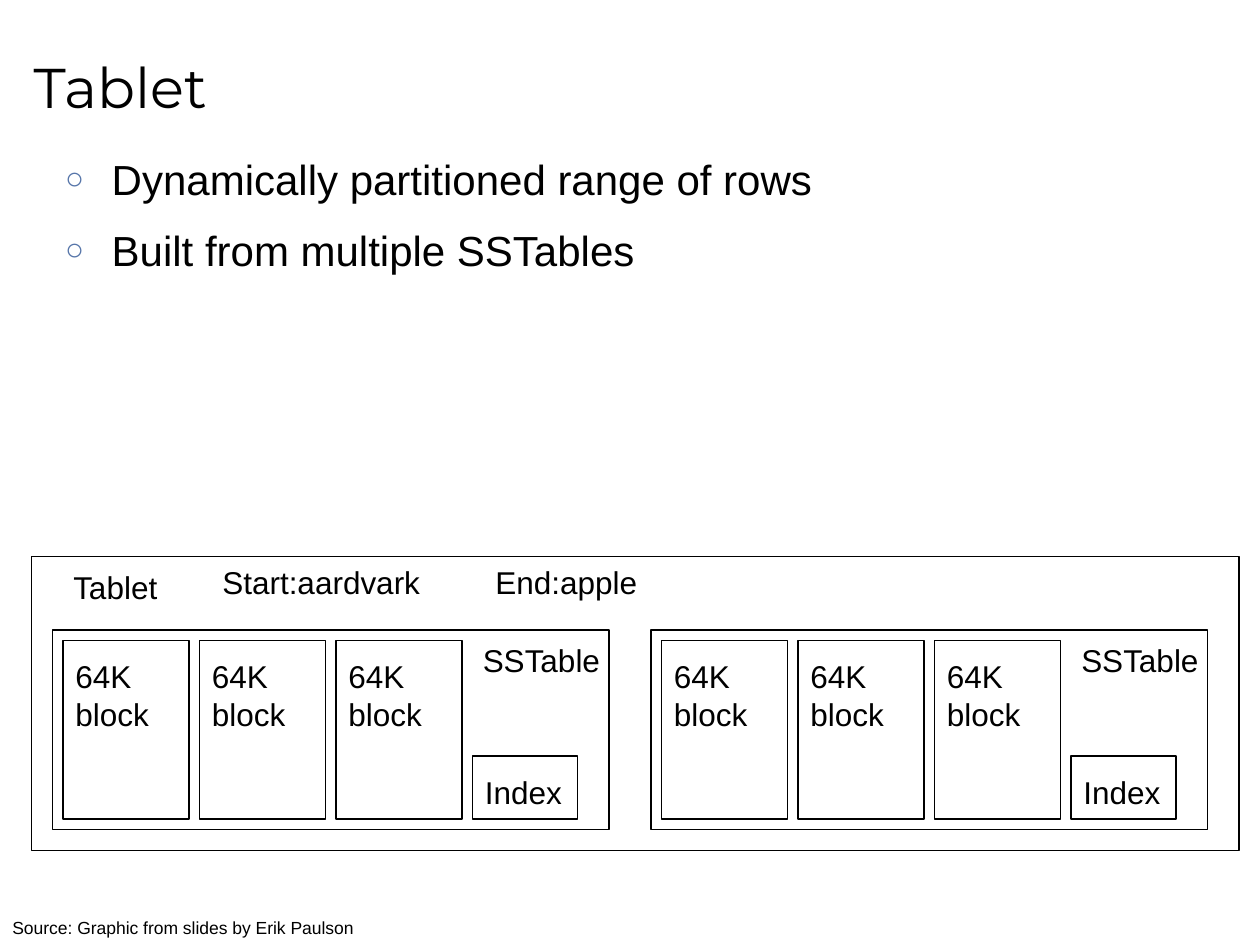
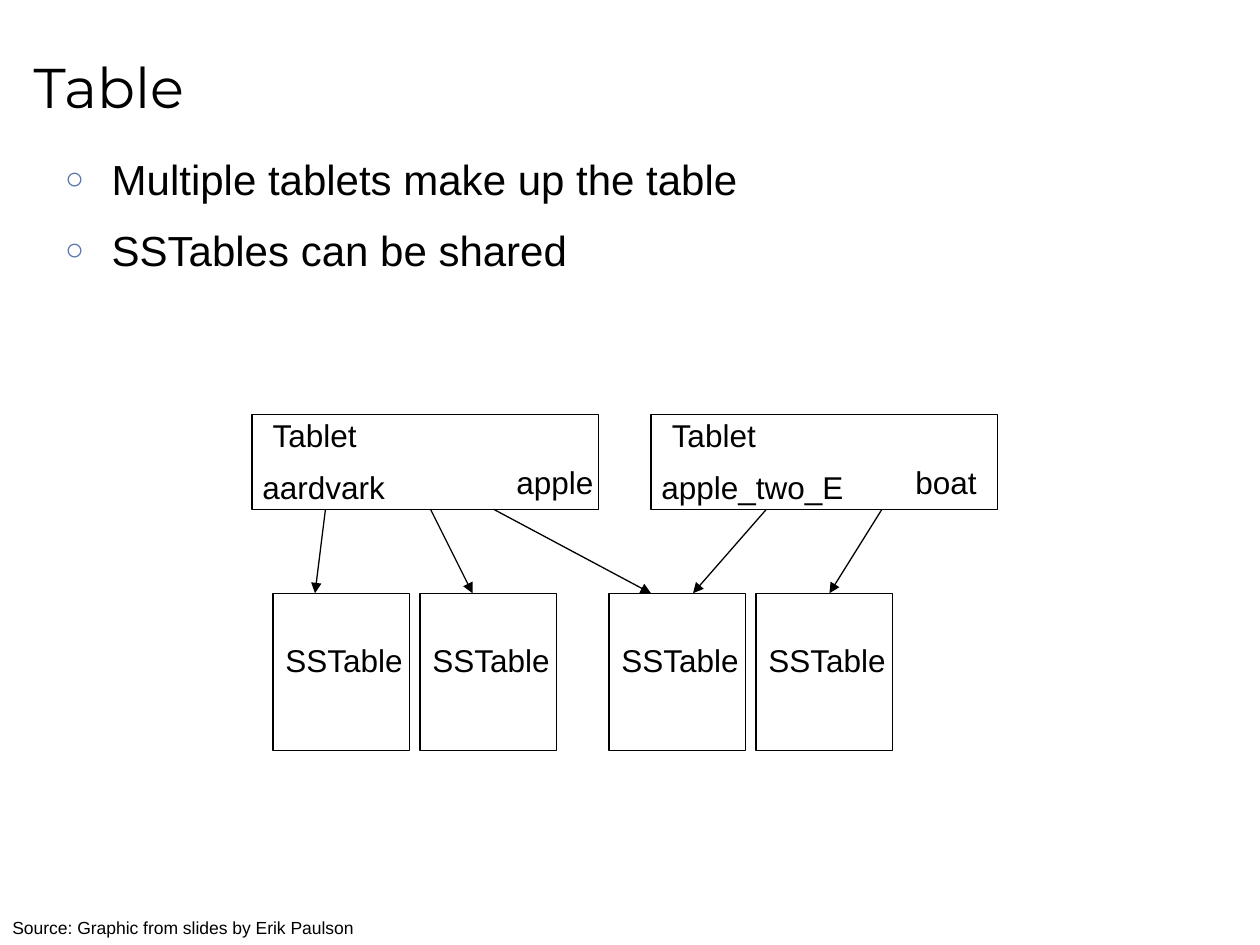
from dataclasses import dataclass

from lxml import etree
from pptx import Presentation, util as u
from pptx.dml.color import RGBColor
from pptx.enum import shapes, text
from pptx.oxml import ns

# Grid: 12 units to the inch, across and down
UNIT = u.Inches(1) / 12
SLIDE_COLS, SLIDE_ROWS = 120, 90

INK, BULLET = "000000", "5675A9"
TITLE_FONT, TEXT_FONT = "Montserrat", "Arial"
LINE_HEIGHT = 4.8
SOURCE = "Source: Graphic from slides by Erik Paulson"


@dataclass(frozen=True)
class Area:
    col: float
    row: float
    cols: float
    rows: float = LINE_HEIGHT

    def emu(self) -> list[int]:
        return [round(n * UNIT) for n in (self.col, self.row, self.cols, self.rows)]


@dataclass(frozen=True)
class Label:
    words: str
    area: Area
    wrap: bool = False
    size: int = 18


@dataclass(frozen=True)
class Tablet:
    col: int
    start: str
    start_cols: float
    end: str
    end_cols: float


TITLE_AREA = Area(2, 1.55, 114, 13.4)
LIST_AREA = Area(5, 14, 111, 67)


# Shared drawing helpers
def colour(hex_code: str) -> RGBColor:
    return RGBColor.from_string(hex_code)


def style(paragraph, size: int, face: str = TEXT_FONT) -> None:
    paragraph.alignment = text.PP_ALIGN.LEFT
    font = paragraph.font
    font.size, font.name = u.Pt(size), face
    font.color.rgb = colour(INK)


def outline(line) -> None:
    line.color.rgb = colour(INK)
    line.width = u.Pt(0.75)


def draw_box(slide, area: Area) -> None:
    box = slide.shapes.add_shape(shapes.MSO_SHAPE.RECTANGLE, *area.emu())
    box.shadow.inherit = False
    box.fill.background()
    outline(box.line)


def draw_label(slide, label: Label) -> None:
    frame = slide.shapes.add_textbox(*label.area.emu()).text_frame
    frame.word_wrap = label.wrap
    frame.auto_size = text.MSO_AUTO_SIZE.SHAPE_TO_FIT_TEXT
    frame.text = label.words
    style(frame.paragraphs[0], label.size)


def draw_arrow(slide, start_col: float, start_row: float, end_col: float, end_row: float) -> None:
    ends = [round(n * UNIT) for n in (start_col, start_row, end_col, end_row)]
    arrow = slide.shapes.add_connector(shapes.MSO_CONNECTOR.STRAIGHT, *ends)
    outline(arrow.line)
    etree.SubElement(arrow.get_or_add_ln(), ns.qn("a:tailEnd"), type="triangle")
    etree.SubElement(arrow.element.spPr, ns.qn("a:effectLst"))


def place(placeholder, area: Area, anchor):
    placeholder.left, placeholder.top, placeholder.width, placeholder.height = area.emu()
    frame = placeholder.text_frame
    frame.auto_size = text.MSO_AUTO_SIZE.NONE
    frame.vertical_anchor = anchor
    return frame


def add_bullet(paragraph) -> None:
    props = paragraph._p.get_or_add_pPr()
    indent = u.Inches(0.37)
    props.set("marL", str(indent))
    props.set("indent", str(-indent))
    tint = etree.SubElement(props, ns.qn("a:buClr"))
    etree.SubElement(tint, ns.qn("a:srgbClr"), val=BULLET)
    etree.SubElement(props, ns.qn("a:buSzPct"), val="75000")
    etree.SubElement(props, ns.qn("a:buFont"), typeface=TEXT_FONT)
    etree.SubElement(props, ns.qn("a:buChar"), char="○")


def add_slide(deck, heading: str, points: list[str]):
    slide = deck.slides.add_slide(deck.slide_layouts[1])
    title = place(slide.shapes.title, TITLE_AREA, text.MSO_ANCHOR.MIDDLE)
    title.text = heading
    style(title.paragraphs[0], 32, TITLE_FONT)

    listing = place(slide.placeholders[1], LIST_AREA, text.MSO_ANCHOR.TOP)
    listing.text = "\n".join(points)
    for i, point in enumerate(listing.paragraphs):
        add_bullet(point)
        point.space_before = u.Pt(6 if i else 0)
        point.space_after = u.Pt(6)
        style(point, 24)
    draw_label(slide, Label(SOURCE, Area(0, 86.7, 43, 3.2), wrap=True, size=10))
    return slide


# Slide 1: a tablet holding two SSTables
def draw_sstable(slide, col: int) -> None:
    for block_col in range(col + 1, col + 40, 13):
        draw_box(slide, Area(block_col, 61, 12, 17))
        draw_label(slide, Label("64K block", Area(block_col, 62, 11, 8.4), wrap=True))
    draw_box(slide, Area(col + 40, 72, 10, 6))
    draw_label(slide, Label("Index", Area(col + 40, 73, 9.7)))
    draw_box(slide, Area(col, 60, 53, 19))
    draw_label(slide, Label("SSTable", Area(col + 39.8, 60.5, 13.9)))


def build_tablet_slide(deck) -> None:
    slide = add_slide(deck, "Tablet", ["Dynamically partitioned range of rows",
                                       "Built from multiple SSTables"])
    for col in (5, 62):
        draw_sstable(slide, col)
    draw_box(slide, Area(3, 53, 115, 28))
    for label in (Label("Tablet", Area(5.8, 53.5, 10.8)),
                  Label("Start:aardvark", Area(20, 53, 24), wrap=True),
                  Label("End:apple", Area(46, 53, 18), wrap=True)):
        draw_label(slide, label)


# Slide 2: tablets pointing at shared SSTables
TABLETS = [Tablet(24, "aardvark", 14.4, "apple", 9.7),
           Tablet(62, "apple_two_E", 19.8, "boat", 8.3)]
SSTABLE_COLS = [26, 40, 58, 72]
ARROW_COLS = [(31, 30), (41, 45), (47, 62), (73, 66), (84, 79)]
TABLET_TOP, TABLET_ROWS, SSTABLE_TOP = 39.5, 9, 56.5


def draw_tablet(slide, tablet: Tablet) -> None:
    draw_box(slide, Area(tablet.col, TABLET_TOP, 33, TABLET_ROWS))
    for label in (Label("Tablet", Area(tablet.col + 0.8, 39, 10.8)),
                  Label(tablet.start, Area(tablet.col - 0.2, 44, tablet.start_cols)),
                  Label(tablet.end, Area(tablet.col + 24, 43.5, tablet.end_cols))):
        draw_label(slide, label)


def build_table_slide(deck) -> None:
    slide = add_slide(deck, "Table", ["Multiple tablets make up the table",
                                      "SSTables can be shared"])
    for col in SSTABLE_COLS:
        draw_box(slide, Area(col, SSTABLE_TOP, 13, 15))
        draw_label(slide, Label("SSTable", Area(col, 60.5, 13.9)))
    for tablet in TABLETS:
        draw_tablet(slide, tablet)
    for start_col, end_col in ARROW_COLS:
        draw_arrow(slide, start_col, TABLET_TOP + TABLET_ROWS, end_col, SSTABLE_TOP)


def main() -> None:
    deck = Presentation()
    deck.slide_width = round(SLIDE_COLS * UNIT)
    deck.slide_height = round(SLIDE_ROWS * UNIT)
    build_tablet_slide(deck)
    build_table_slide(deck)
    deck.save("out.pptx")


if __name__ == "__main__":
    main()
